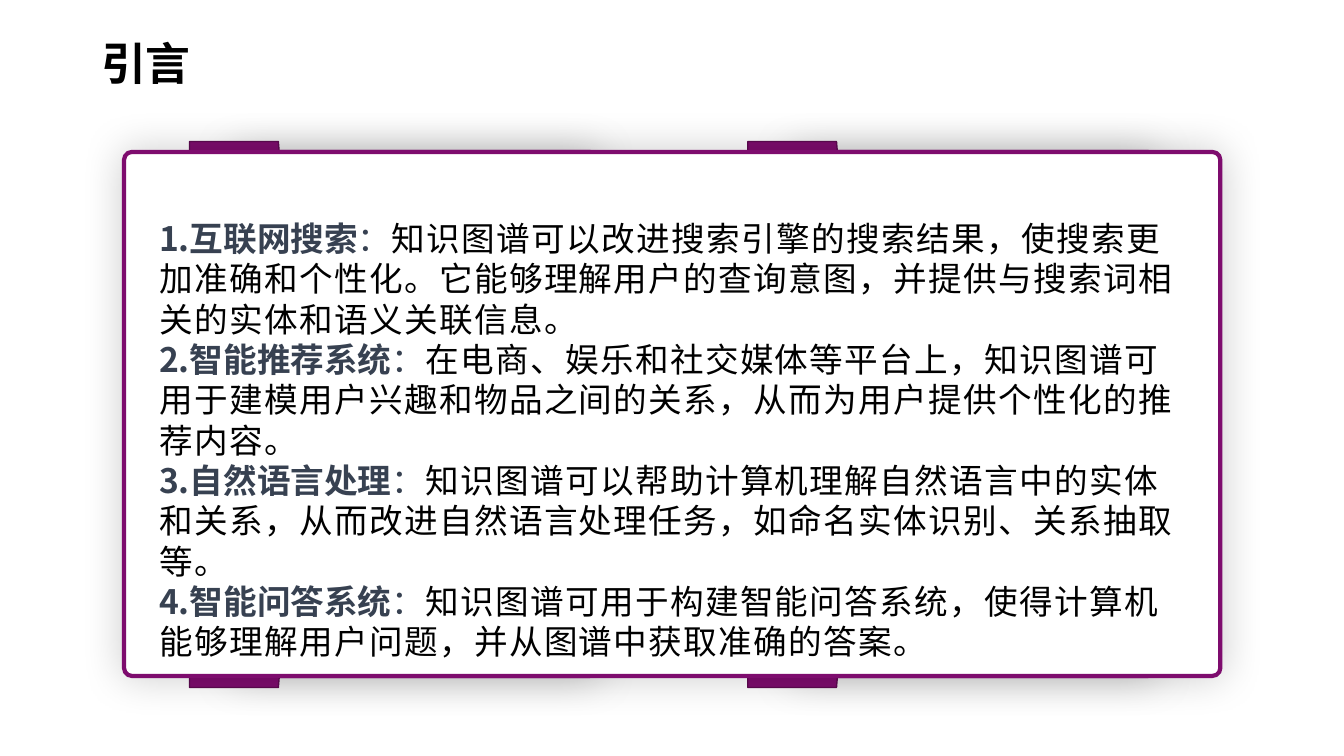
from lxml import etree
from pptx import Presentation, util as u
from pptx.dml.color import RGBColor
from pptx.enum import shapes, text
from pptx.oxml import parse_xml
from pptx.oxml.ns import nsdecls, qn

PX = 914400 / 100.8
PURPLE = "7E0C6E"
SHADOW = (
    f'<a:effectLst {nsdecls("a")}><a:outerShdw blurRad="381000" dist="0" algn="ctr" rotWithShape="0">'
    '<a:srgbClr val="000000"><a:alpha val="20000"/></a:srgbClr></a:outerShdw></a:effectLst>'
)


def rgb(value):
    return RGBColor.from_string(value)


def add_panel(parent, kind, box, fill, edge, weight):
    panel = parent.shapes.add_shape(kind, *[u.Emu(round(n * PX)) for n in box])
    panel.shadow.inherit = False
    panel.fill.solid()
    panel.fill.fore_color.rgb = rgb(fill)
    panel.line.color.rgb = rgb(edge)
    panel.line.width = u.Pt(weight)
    if kind == shapes.MSO_SHAPE.ROUNDED_RECTANGLE:
        panel.adjustments[0] = 0.015
        properties = panel._element.spPr
        properties.replace(properties.find(qn("a:effectLst")), parse_xml(SHADOW))
    return panel


prs = Presentation()
prs.slide_width, prs.slide_height = u.Inches(13.33), u.Inches(7.5)
slide = prs.slides.add_slide(prs.slide_layouts[1])
heading, applications = slide.shapes.title, slide.placeholders[1]

for holder, box in ((heading, (91, 15, 731, 75)), (applications, (149, 213, 1052, 417))):
    for side, n in zip(("left", "top", "width", "height"), box):
        setattr(holder, side, u.Emu(round(n * PX)))
    frame_format = {
        "word_wrap": True,
        "vertical_anchor": text.MSO_ANCHOR.TOP,
        "auto_size": text.MSO_AUTO_SIZE.SHAPE_TO_FIT_TEXT,
    }
    for key, value in frame_format.items():
        setattr(holder.text_frame, key, value)

heading.text_frame.text = "引言"
title_line = heading.text_frame.paragraphs[0]
title_line.alignment = text.PP_ALIGN.LEFT
title_line.line_spacing = 1.3
for key, value in {"name": "Calibri", "size": u.Pt(32), "bold": True}.items():
    setattr(title_line.runs[0].font, key, value)
title_line.runs[0].font.color.rgb = rgb("000000")

for offset in (0, 558):
    binder = slide.shapes.add_group_shape()
    add_panel(binder, shapes.MSO_SHAPE.ROUNDED_RECTANGLE, (233 + offset, 152, 362, 524), "FFFFFF", PURPLE, 3)
    tab = add_panel(binder, shapes.MSO_SHAPE.FLOWCHART_OFFPAGE_CONNECTOR,
                    (offset - 28, 359, 546, 111), PURPLE, "5D0951", 1)
    tab.rotation = 270
add_panel(slide, shapes.MSO_SHAPE.ROUNDED_RECTANGLE, (124, 152, 1096, 524), "FFFFFF", PURPLE, 3)

slide.shapes._spTree.append(applications._element)
uses = [
    ("互联网搜索", "知识图谱可以改进搜索引擎的搜索结果，使搜索更加准确和个性化。它能够理解用户的查询意图，并提供与搜索词相关的实体和语义关联信息。"),
    ("智能推荐系统", "在电商、娱乐和社交媒体等平台上，知识图谱可用于建模用户兴趣和物品之间的关系，从而为用户提供个性化的推荐内容。"),
    ("自然语言处理", "知识图谱可以帮助计算机理解自然语言中的实体和关系，从而改进自然语言处理任务，如命名实体识别、关系抽取等。"),
    ("智能问答系统", "知识图谱可用于构建智能问答系统，使得计算机能够理解用户问题，并从图谱中获取准确的答案。"),
]
for index, (term, detail) in enumerate(uses):
    body = applications.text_frame
    item = body.add_paragraph() if index else body.paragraphs[0]
    item_format = {
        "alignment": text.PP_ALIGN.LEFT,
        "line_spacing": 1.0,
        "space_before": u.Pt(0),
        "space_after": u.Pt(0),
    }
    for key, value in item_format.items():
        setattr(item, key, value)
    numbering = item._p.get_or_add_pPr()
    numbering.set("marL", "0")
    numbering.set("indent", "0")
    etree.SubElement(numbering, qn("a:buFont"), typeface="+mj-lt")
    etree.SubElement(numbering, qn("a:buAutoNum"), type="arabicPeriod")
    for words, face, color, bold, spacing in (
        (term, "Roboto", "374151", True, 0),
        ("：", "Roboto", "374151", False, 0),
        (detail, "Calibri", "000000", False, 100),
    ):
        run = item.add_run()
        run.text = words
        for key, value in {"name": face, "size": u.Pt(24), "bold": bold}.items():
            setattr(run.font, key, value)
        run.font.color.rgb = rgb(color)
        run._r.get_or_add_rPr().set("spc", str(spacing))

prs.save("out.pptx")
